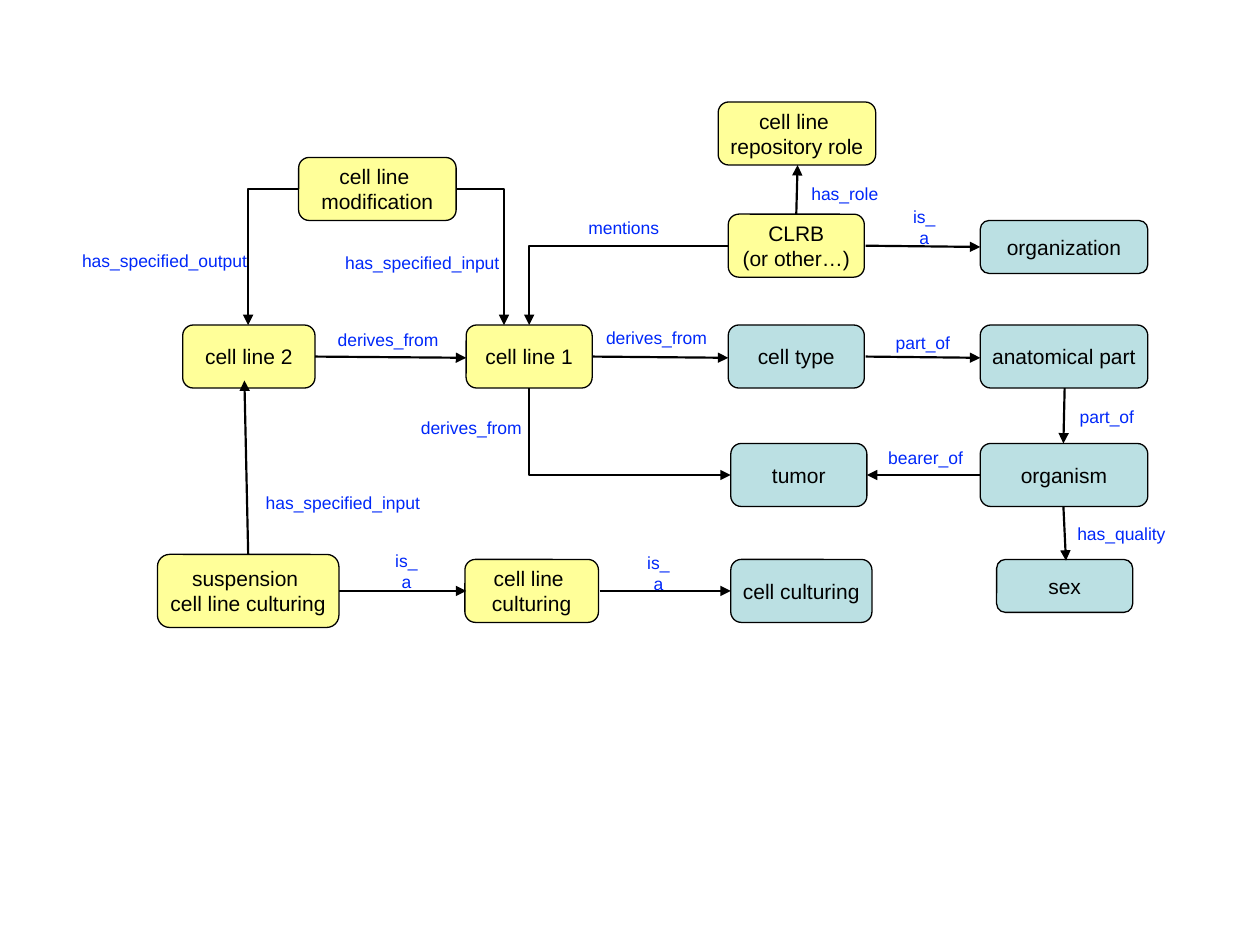
from lxml.etree import SubElement as Sub
from pptx import Presentation
from pptx.dml.color import RGBColor
from pptx.enum.shapes import MSO_CONNECTOR as Conn, MSO_SHAPE as Shape
from pptx.enum.text import MSO_ANCHOR as Anchor, MSO_AUTO_SIZE as Fit, PP_ALIGN as Align
from pptx.oxml.ns import qn
from pptx.util import Inches, Pt

YELLOW = RGBColor(0xFF, 0xFF, 0x99)
TEAL = RGBColor(0xBB, 0xE0, 0xE3)
BLACK = RGBColor(0, 0, 0)
BLUE = RGBColor(0x00, 0x28, 0xF9)

NODES = [
    ("cell line 1", 3.7, 2.58, 1, 0.5, YELLOW),
    ("cell line 2", 1.45, 2.58, 1.05, 0.5, YELLOW),
    ("CLRB\n(or other…)", 5.78, 1.7, 1.08, 0.5, YELLOW),
    ("cell line \nmodification", 2.37, 1.25, 1.25, 0.5, YELLOW),
    ("suspension \ncell line culturing", 1.25, 4.4, 1.44, 0.58, YELLOW),
    ("cell line \nculturing", 3.69, 4.44, 1.06, 0.5, YELLOW),
    ("cell line \nrepository role", 5.7, 0.81, 1.25, 0.5, YELLOW),
    ("cell type", 5.78, 2.58, 1.08, 0.5, TEAL),
    ("anatomical part", 7.78, 2.58, 1.33, 0.5, TEAL),
    ("organism", 7.78, 3.52, 1.33, 0.5, TEAL),
    ("tumor", 5.8, 3.52, 1.08, 0.5, TEAL),
    ("sex", 7.91, 4.44, 1.08, 0.42, TEAL),
    ("cell culturing", 5.8, 4.44, 1.12, 0.5, TEAL),
    ("organization", 7.78, 1.75, 1.33, 0.42, TEAL),
]

LINKS = [
    (4.7, 2.83, 5.78, 2.84),
    (6.87, 2.83, 7.78, 2.84),
    (8.45, 3.08, 8.44, 3.52),
    (8.44, 4.02, 8.46, 4.45),
    (7.78, 3.77, 6.88, 3.77),
    (2.69, 4.69, 3.7, 4.69),
    (4.76, 4.69, 5.8, 4.69),
    (6.87, 1.95, 7.78, 1.96),
    (2.5, 2.83, 3.7, 2.84),
    (1.97, 4.4, 1.94, 3.02),
    (6.32, 1.7, 6.33, 1.31),
]

BENDS = [
    (2.37, 1.5, 1.97, 2.58, "tailEnd"),
    (3.62, 1.5, 4, 2.58, "tailEnd"),
    (5.78, 1.95, 4.2, 2.58, "tailEnd"),
    (5.8, 3.77, 4.2, 3.08, "headEnd"),
]

LABELS = [
    ("derives_from", 4.71, 2.54, 1),
    ("derives_from", 2.58, 2.56, 1),
    ("derives_from", 3.24, 3.26, 1),
    ("part_of", 7.01, 2.58, 0.63),
    ("part_of", 8.47, 3.17, 0.63),
    ("has_quality", 8.45, 4.1, 0.9),
    ("bearer_of", 6.95, 3.5, 0.79),
    ("has_specified_input", 2.01, 3.85, 1.42),
    ("has_specified_input", 2.64, 1.95, 1.42),
    ("has_specified_output", 0.55, 1.93, 1.51),
    ("is_a", 3, 4.4, 0.45),
    ("is_a", 5, 4.41, 0.45),
    ("is_a", 7.11, 1.67, 0.45),
    ("mentions", 4.57, 1.67, 0.76),
    ("has_role", 6.34, 1.4, 0.73),
]


def write(frame, text, size, color):
    frame.text = text
    frame.word_wrap = False
    frame.vertical_anchor = Anchor.MIDDLE
    for para in frame.paragraphs:
        para.alignment = Align.CENTER
        para.font.name = "Arial"
        para.font.size = Pt(size)
        para.font.color.rgb = color


def add_node(slide, text, x, y, w, h, fill):
    node = slide.shapes.add_shape(
        Shape.ROUNDED_RECTANGLE, Inches(x), Inches(y), Inches(w), Inches(h))
    node.shadow.inherit = False
    node.fill.solid()
    node.fill.fore_color.rgb = fill
    node.line.color.rgb = BLACK
    node.line.width = Pt(0.75)
    write(node.text_frame, text, 12, BLACK)


def add_label(slide, text, x, y, w):
    box = slide.shapes.add_textbox(Inches(x), Inches(y), Inches(w), Inches(0.27))
    write(box.text_frame, text, 10, BLUE)
    box.text_frame.auto_size = Fit.SHAPE_TO_FIT_TEXT


def add_link(slide, x1, y1, x2, y2, end="tailEnd", kind=Conn.STRAIGHT):
    link = slide.shapes.add_connector(
        kind, Inches(x1), Inches(y1), Inches(x2), Inches(y2))
    link.line.color.rgb = BLACK
    link.line.width = Pt(1.25)
    props = link._element.spPr
    Sub(props.find(qn("a:ln")), qn("a:" + end), type="triangle")
    Sub(props, qn("a:effectLst"))
    return link


def add_bend(slide, x1, y1, x2, y2, end):
    bend = add_link(slide, x1, y1, x2, y2, end, Conn.ELBOW)
    bend._element.spPr.find(qn("a:prstGeom")).set("prst", "bentConnector2")


def main():
    deck = Presentation()
    deck.slide_width = Inches(10)
    deck.slide_height = Inches(7.5)
    slide = deck.slides.add_slide(deck.slide_layouts[6])
    for node in NODES:
        add_node(slide, *node)
    for link in LINKS:
        add_link(slide, *link)
    for bend in BENDS:
        add_bend(slide, *bend)
    for label in LABELS:
        add_label(slide, *label)
    deck.save("out.pptx")


if __name__ == "__main__":
    main()
